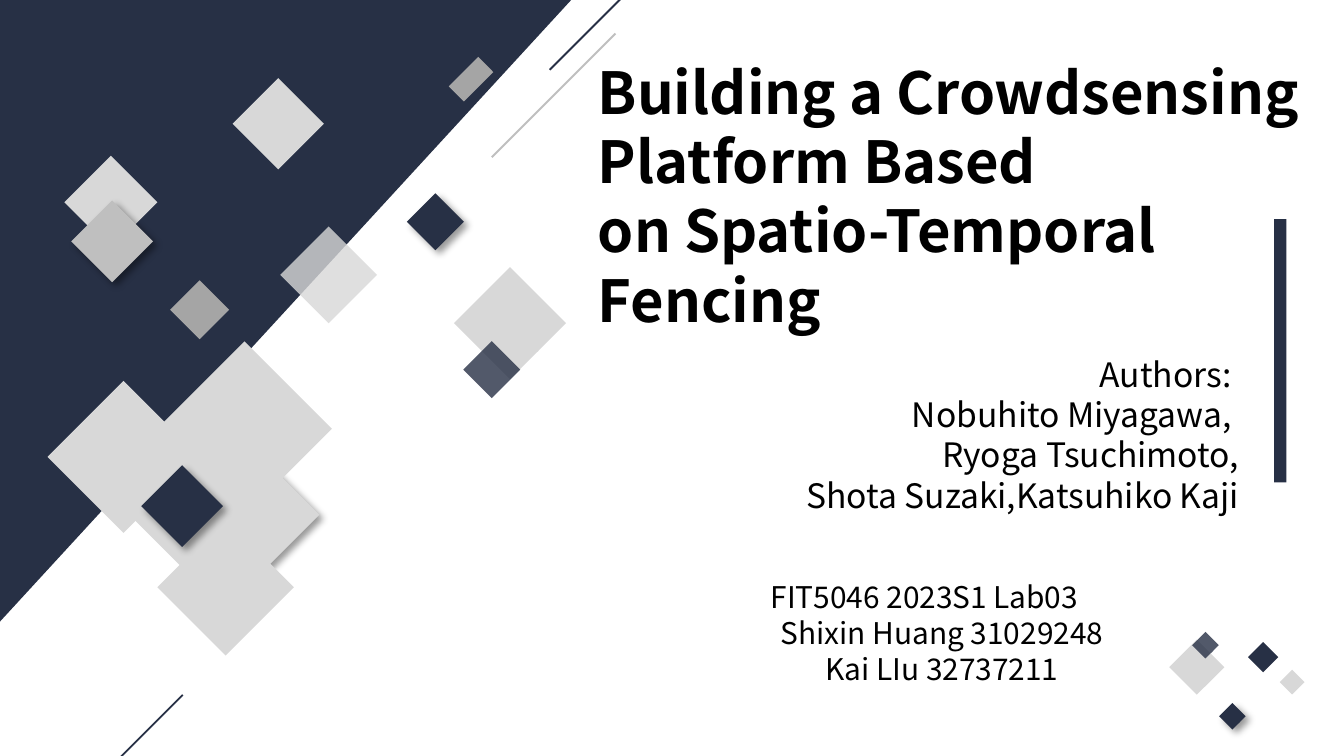
"""Build the title slide for a talk on a crowdsensing platform."""
import dataclasses

import pptx
import pptx.dml.color
import pptx.enum.shapes
import pptx.enum.text
import pptx.oxml
import pptx.oxml.ns
import pptx.util

Pt = pptx.util.Pt
Shape = pptx.enum.shapes.MSO_SHAPE
Align = pptx.enum.text.PP_ALIGN


@dataclasses.dataclass(frozen=True)
class Theme:
    navy: str = "273045"
    light: str = "D8D8D8"
    silver: str = "BFBFBF"
    gray: str = "A5A5A5"
    text: str = "000000"
    font: str = "Noto Sans CJK SC"
    title_size: int = 31
    author_size: int = 18
    team_size: int = 16
    leading: float = 1.2
    hairline: int = 1


THEME = Theme()
PAGE_WIDTH, PAGE_HEIGHT = 720, 405
CORNER_WIDTH, CORNER_HEIGHT = 306, 333
STROKE_SPAN = 66.2
SHADOW, GLASS = "shadow", "glass"

SCATTERED_TILES = [
    (131.8, 49, 34.6, 34.6, THEME.light, None),
    (95.8, 154.8, 22.3, 22.3, THEME.gray, None),
    (41.8, 90.7, 35.3, 35.3, THEME.light, None),
    (44.6, 113.8, 31, 31, THEME.silver, SHADOW),
    (241.2, 36.7, 22.3, 11.5, THEME.gray, None),
    (252, 151.9, 42.5, 42.5, THEME.light, None),
    (222.5, 108, 21.6, 21.6, THEME.navy, SHADOW),
    (252.7, 187.2, 21.6, 21.6, THEME.navy, GLASS),
    (157.7, 128.9, 36.7, 36.7, THEME.light, GLASS),
]
LARGE_CLUSTER = [
    (37.4, 216, 57.6, 57.6, THEME.light, None),
    (113.8, 252, 47.5, 47.5, THEME.light, SHADOW),
    (97.9, 240.5, 29.5, 29.5, THEME.light, None),
    (95, 288.7, 51.8, 51.8, THEME.light, None),
    (75.6, 245.5, 51.8, 51.8, THEME.light, None),
    (97.9, 196.6, 66.2, 66.2, THEME.light, None),
]
SMALL_CLUSTER = [
    (671, 346.3, 11.5, 11.5, THEME.navy, None),
    (687.6, 360.7, 9.4, 9.4, THEME.light, None),
    (630.7, 347, 20.9, 20.9, THEME.light, None),
    (655.2, 378.7, 10.1, 10.1, THEME.navy, SHADOW),
    (640.8, 340.6, 10.1, 10.1, THEME.navy, GLASS),
]
FRONT_TILE = (82.1, 255.6, 31, 31, THEME.navy, SHADOW)
TOP_STROKES = [(294.5, 37.4, THEME.navy), (263.5, 84.2, THEME.silver)]
BOTTOM_STROKE = (31.7, 438.5, THEME.navy)
ACCENT_BAR = (682.6, 117.4, 6.5, 141.1)

TITLE = ["Building a Crowdsensing Platform Based", "on Spatio-Temporal Fencing"]
AUTHORS = ["Authors: ", "Nobuhito Miyagawa, ", "Ryoga Tsuchimoto,",
           " Shota Suzaki,Katsuhiko Kaji"]
TEAM = ["FIT5046 2023S1 Lab03\t ", "Shixin Huang 31029248", "Kai LIu 32737211"]


def rgb(color):
    return pptx.dml.color.RGBColor.from_string(color)


def xml(body):
    return pptx.oxml.parse_xml(
        body.replace(" ", f" {pptx.oxml.ns.nsdecls('a')} ", 1))


def add_solid(shapes, kind, left, top, width, height, color):
    solid = shapes.add_shape(kind, Pt(left), Pt(top), Pt(width), Pt(height))
    solid.shadow.inherit = False
    solid.fill.solid()
    solid.fill.fore_color.rgb = rgb(color)
    solid.line.fill.background()
    return solid


def add_tile(shapes, left, top, width, height, color, effect):
    tile = add_solid(shapes, Shape.RECTANGLE, left, top, width, height, color)
    tile.rotation = 315
    properties = tile._element.spPr
    if effect == GLASS:
        tint = properties.find(".//" + pptx.oxml.ns.qn("a:srgbClr"))
        tint.append(xml('<a:alpha val="80000"/>'))
    elif effect == SHADOW:
        effects = properties.find(pptx.oxml.ns.qn("a:effectLst"))
        effects.append(xml(
            f'<a:outerShdw blurRad="{Pt(4)}" dist="{Pt(3)}" dir="2700000" '
            'algn="tl" rotWithShape="0"><a:srgbClr val="000000">'
            '<a:alpha val="40000"/></a:srgbClr></a:outerShdw>'))


def add_cluster(page, tiles):
    cluster = page.shapes.add_group_shape()
    for tile in tiles:
        add_tile(cluster.shapes, *tile)


def add_stroke(shapes, left, bottom, color):
    stroke = shapes.add_connector(
        pptx.enum.shapes.MSO_CONNECTOR.STRAIGHT, Pt(left), Pt(bottom),
        Pt(left + STROKE_SPAN), Pt(bottom - STROKE_SPAN))
    stroke.line.color.rgb = rgb(color)
    stroke.line.width = Pt(THEME.hairline)
    stroke._element.spPr.append(xml("<a:effectLst />"))


def add_text(page, left, top, width, height, lines, size, align, bold=False):
    box = page.shapes.add_textbox(Pt(left), Pt(top), Pt(width), Pt(height))
    frame = box.text_frame
    frame.word_wrap = True
    frame.auto_size = pptx.enum.text.MSO_AUTO_SIZE.SHAPE_TO_FIT_TEXT
    frame.text = "\n".join(lines)
    for para in frame.paragraphs:
        para.alignment = align
        para.line_spacing = Pt(size * THEME.leading)
        for span in para.runs:
            span.font.name = THEME.font
            span.font.size = Pt(size)
            span.font.bold = bold
            span.font.color.rgb = rgb(THEME.text)


def main():
    deck = pptx.Presentation()
    deck.slide_width, deck.slide_height = Pt(PAGE_WIDTH), Pt(PAGE_HEIGHT)
    page = deck.slides.add_slide(deck.slide_layouts[6])

    inset = (CORNER_WIDTH - CORNER_HEIGHT) / 2
    corner = add_solid(page.shapes, Shape.ISOSCELES_TRIANGLE, inset, -inset,
                       CORNER_HEIGHT, CORNER_WIDTH, THEME.navy)
    corner.adjustments[0] = 0
    corner.rotation = 90

    for tile in SCATTERED_TILES:
        add_tile(page.shapes, *tile)
    add_cluster(page, LARGE_CLUSTER)
    add_text(page, 313.2, 26.6, 421.2, 157.7, TITLE, THEME.title_size,
             Align.LEFT, bold=True)
    add_cluster(page, SMALL_CLUSTER)
    add_text(page, 332.6, 185.8, 338.4, 116.6, AUTHORS, THEME.author_size,
             Align.RIGHT)
    strokes = page.shapes.add_group_shape()
    for stroke in TOP_STROKES:
        add_stroke(strokes.shapes, *stroke)
    add_stroke(page.shapes, *BOTTOM_STROKE)
    add_solid(page.shapes, Shape.RECTANGLE, *ACCENT_BAR, THEME.navy)
    add_tile(page.shapes, *FRONT_TILE)
    add_text(page, 326.9, 306.7, 355.7, 65.5, TEAM, THEME.team_size,
             Align.CENTER)
    deck.save("out.pptx")


if __name__ == "__main__":
    main()
